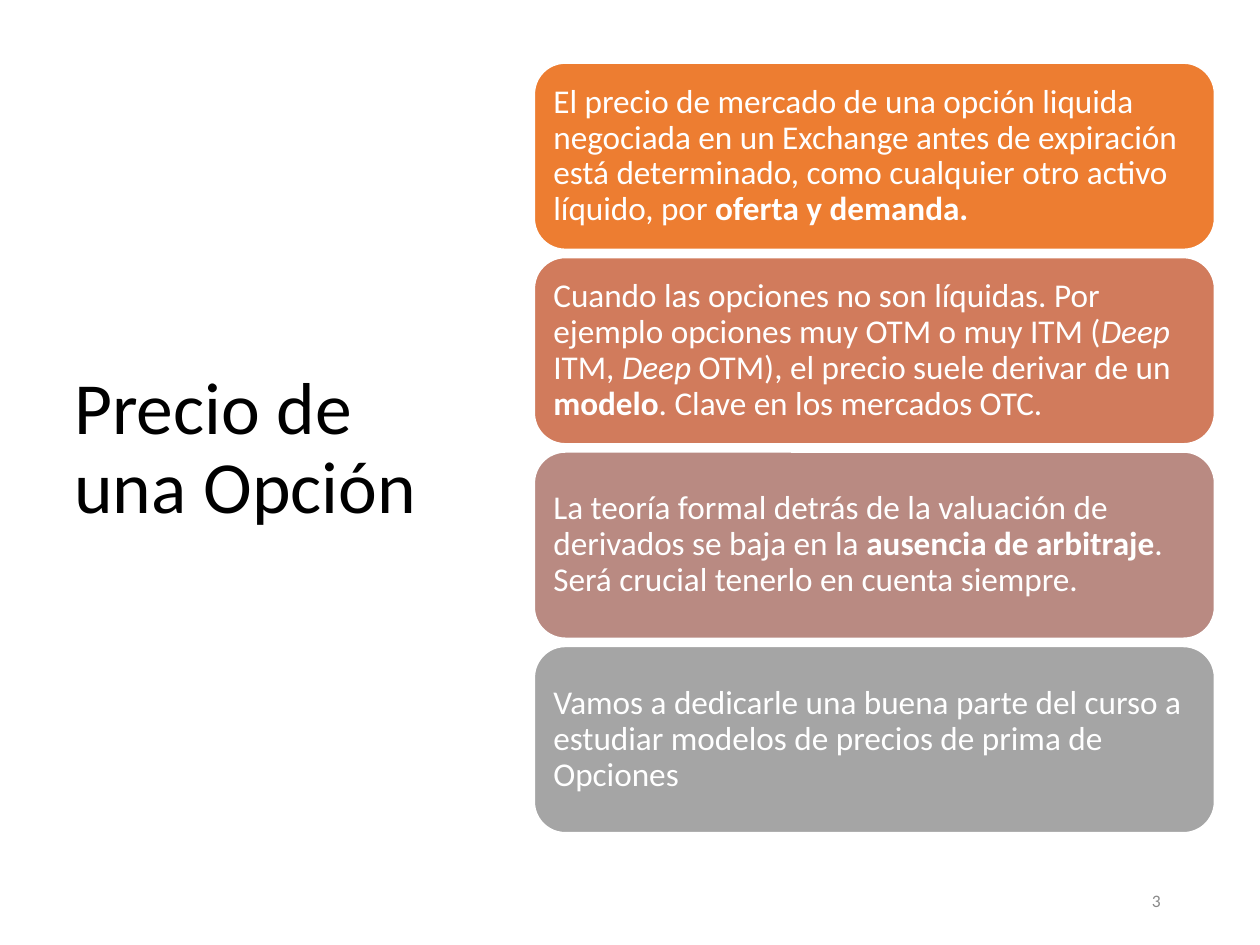
from dataclasses import dataclass

from pptx import Presentation
from pptx.dml.color import RGBColor
from pptx.enum.shapes import MSO_SHAPE
from pptx.enum.text import MSO_ANCHOR, MSO_AUTO_SIZE, PP_ALIGN
from pptx.slide import Slide
from pptx.text.text import TextFrame
from pptx.util import Inches, Pt

COLORS = {
    "title": "000000",
    "number": "898989",
    "white": "FFFFFF",
    "orange": "ED7D31",
    "terracotta": "D17B5C",
    "rose": "B98A82",
    "gray": "A5A5A5",
}
FONT = "Calibri"

# Column of cards, in inches
CARD_LEFT, CARD_WIDTH, CARD_HEIGHT = 4.24, 5.4, 1.48
COLUMN_TOP, COLUMN_BOTTOM = 0.5, 6.61


@dataclass(frozen=True)
class Span:
    text: str
    bold: bool = False
    italic: bool = False


@dataclass(frozen=True)
class Card:
    color: str
    spans: tuple[Span, ...]


CARDS = (
    Card("orange", (
        Span("El precio de mercado de una opción liquida negociada en un Exchange "
             "antes de expiración está determinado, como cualquier otro activo "
             "líquido, por "),
        Span("oferta y demanda.", bold=True),
    )),
    Card("terracotta", (
        Span("Cuando las opciones no son líquidas. Por ejemplo opciones muy OTM "
             "o muy ITM ("),
        Span("Deep", italic=True),
        Span(" ITM, "),
        Span("Deep", italic=True),
        Span(" OTM), el precio suele derivar de un "),
        Span("modelo", bold=True),
        Span(". Clave en los mercados OTC."),
    )),
    Card("rose", (
        Span("La teoría formal detrás de la valuación de derivados se baja en la "),
        Span("ausencia de arbitraje", bold=True),
        Span(". Será crucial tenerlo en cuenta siempre."),
    )),
    Card("gray", (
        Span("Vamos a dedicarle una buena parte del curso a estudiar modelos de "
             "precios de prima de Opciones"),
    )),
)


def rgb(name: str) -> RGBColor:
    return RGBColor.from_string(COLORS[name])


def write_text(frame: TextFrame, *spans: Span, size: float, color: str,
               align: PP_ALIGN = PP_ALIGN.LEFT, line_spacing: float = 1.0,
               inset_x: float = 0.1, inset_y: float = 0.05) -> None:
    frame.word_wrap = True
    frame.auto_size = MSO_AUTO_SIZE.NONE
    frame.vertical_anchor = MSO_ANCHOR.MIDDLE
    frame.margin_left = frame.margin_right = Inches(inset_x)
    frame.margin_top = frame.margin_bottom = Inches(inset_y)
    paragraph = frame.paragraphs[0]
    paragraph.alignment = align
    paragraph.line_spacing = line_spacing
    for span in spans:
        run = paragraph.add_run()
        run.text = span.text
        run.font.name = FONT
        run.font.size = Pt(size)
        run.font.bold = span.bold
        run.font.italic = span.italic
        run.font.color.rgb = rgb(color)


def draw_card(slide: Slide, card: Card, top: float) -> None:
    panel = slide.shapes.add_shape(
        MSO_SHAPE.ROUNDED_RECTANGLE, Inches(CARD_LEFT), Inches(top),
        Inches(CARD_WIDTH), Inches(CARD_HEIGHT))
    panel.shadow.inherit = False
    panel.fill.solid()
    panel.fill.fore_color.rgb = rgb(card.color)
    panel.line.color.rgb = rgb("white")
    panel.line.width = Pt(1)
    write_text(panel.text_frame, *card.spans, size=19, color="white",
               line_spacing=0.9, inset_x=0.08, inset_y=0.08)


def main() -> None:
    deck = Presentation()
    deck.slide_width, deck.slide_height = Inches(10), Inches(7.5)
    slide = deck.slides.add_slide(deck.slide_layouts[5])

    # Title
    title = slide.shapes.title
    title.left, title.top = Inches(0.49), Inches(0.7)
    title.width, title.height = Inches(3.12), Inches(5.75)
    write_text(title.text_frame, Span("Precio de una Opción"), size=42,
               color="title", line_spacing=0.9)

    # Slide number
    page_number = slide.shapes.add_textbox(
        Inches(7.06), Inches(6.95), Inches(2.25), Inches(0.4))
    write_text(page_number.text_frame, Span("3"), size=10, color="number",
               align=PP_ALIGN.RIGHT)

    # Cards, evenly spread from the top to the bottom of the column
    pitch = (COLUMN_BOTTOM - COLUMN_TOP - CARD_HEIGHT) / (len(CARDS) - 1)
    for index, card in enumerate(CARDS):
        draw_card(slide, card, COLUMN_TOP + index * pitch)

    deck.save("out.pptx")


if __name__ == "__main__":
    main()
